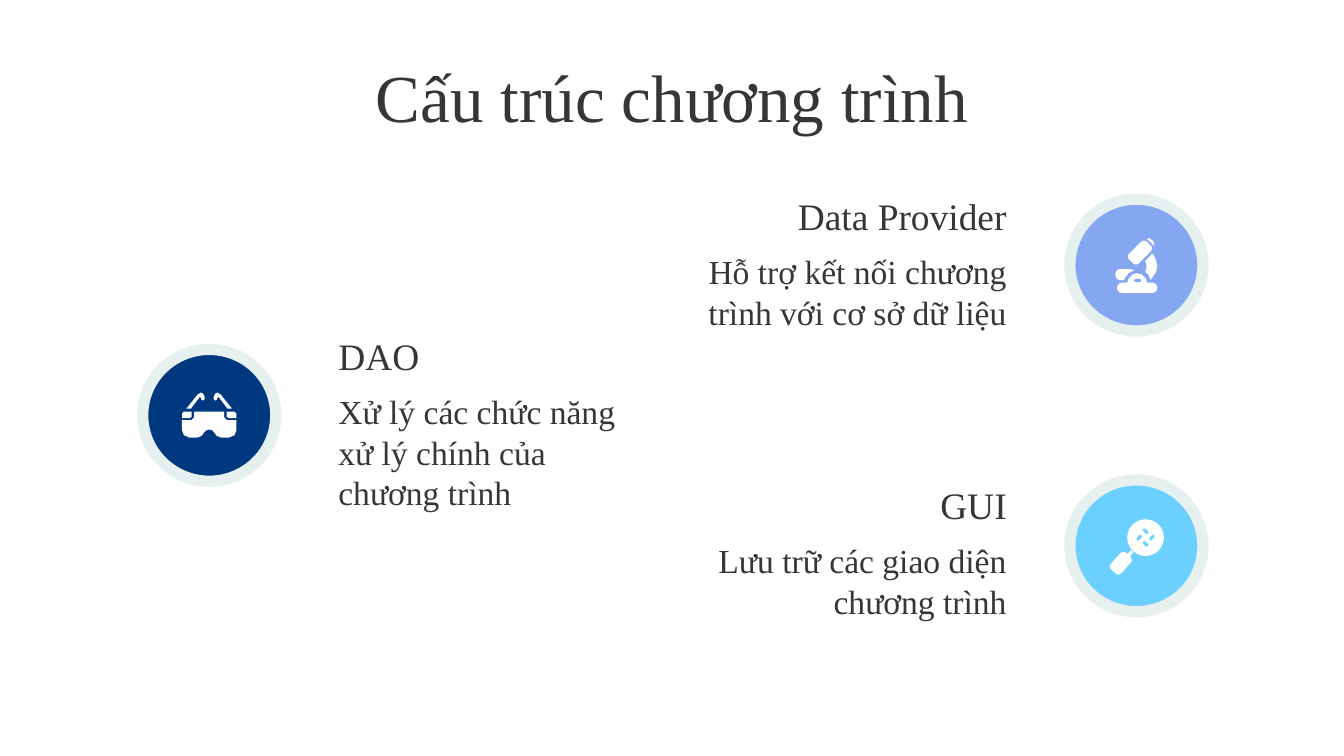
from dataclasses import dataclass

from pptx import Presentation
from pptx.dml.color import RGBColor
from pptx.enum.shapes import MSO_SHAPE
from pptx.enum.text import MSO_ANCHOR, PP_ALIGN
from pptx.util import Pt


@dataclass(frozen=True)
class Theme:
    font: str = "Times New Roman"
    text: str = "383536"
    white: str = "FFFFFF"
    ring: str = "E6F0EF"
    navy: str = "003880"
    periwinkle: str = "85A7F2"
    sky: str = "6BCFFF"
    title_size: float = 36
    heading_size: float = 20
    body_size: float = 18


THEME = Theme()
BADGE_WIDTH, BADGE_HEIGHT = 71.3, 70.6
HEADING_HEIGHT, BODY_OFFSET = 46, 31

# Icon outlines, in points from the badge centre
GOGGLE_HALF = [(8, -2), (8, 1), (9.5, 2.6), (14.6, 2.6), (14.6, 8), (13.5, 10.7),
               (10.5, 12), (6.5, 12), (4, 11), (2.5, 9), (1.5, 8), (0, 7.6)]
GOGGLE_CLIP = [(9.4, -2), (13.6, -2), (14.5, -1), (14.5, 1.5), (10.5, 1.5), (9.4, 0.8)]
GOGGLE_ARM = [(4.5, -12.2), (6.3, -11), (12.2, -3.6), (9.8, -3.6), (5, -9.9), (4.4, -9.4),
              (4.3, -8.6), (3.4, -7.9), (2.4, -8.6), (2.4, -9.7), (3.2, -11.6)]
MICROSCOPE_EYEPIECE = [(5.4, -13.7), (6.8, -14.4), (8.5, -13.3), (9.5, -12), (9, -10.2),
                       (8.4, -11.3), (6.8, -13)]
MICROSCOPE_ARM = [(9, -5.8), (10.4, -3), (11.2, 0.7), (10.4, 4), (7.6, 7.9), (6.6, 5.4),
                  (4.7, 3.6), (5.4, 2), (5.4, 0.2), (4.7, -2.2), (8.2, -5.8)]
MICROSCOPE_STAGE = [(-1, 2.7), (-3.4, 2.2), (-9, 2.2), (-10.5, 2.9), (-11.2, 4.5),
                    (-11.2, 5.8), (-10.5, 7.4), (-9, 8.1), (-6.8, 8.1), (-5.8, 6.5), (-4, 4.2)]
MICROSCOPE_DOME = [(-5.2, 10), (-4, 7), (-2, 5), (0.4, 4.4), (2.8, 5), (4.9, 7), (6, 10)]


def paint(shape, color):
    shape.shadow.inherit = False
    shape.fill.solid()
    shape.fill.fore_color.rgb = RGBColor.from_string(color)
    shape.line.fill.background()


def write_text(shape, text, *, size, align=PP_ALIGN.LEFT, space_after=0):
    frame = shape.text_frame
    frame.word_wrap = True
    frame.vertical_anchor = MSO_ANCHOR.TOP
    frame.margin_left = frame.margin_right = Pt(7.2)
    frame.margin_top = frame.margin_bottom = Pt(7.2)
    paragraph = frame.paragraphs[0]
    paragraph.text = text
    paragraph.alignment = align
    paragraph.space_before = Pt(0)
    paragraph.space_after = Pt(space_after)
    paragraph.font.name = THEME.font
    paragraph.font.size = Pt(size)
    paragraph.font.color.rgb = RGBColor.from_string(THEME.text)


def add_centered(slide, kind, center, width, height, color, rotation=0):
    x, y = center
    shape = slide.shapes.add_shape(
        kind, Pt(x - width / 2), Pt(y - height / 2), Pt(width), Pt(height))
    shape.rotation = rotation
    paint(shape, color)
    return shape


def add_capsule(slide, center, offset, width, height, color, rotation=0, rounding=0.5):
    position = (center[0] + offset[0], center[1] + offset[1])
    shape = add_centered(slide, MSO_SHAPE.ROUNDED_RECTANGLE, position,
                         width, height, color, rotation)
    shape.adjustments[0] = rounding


def add_outline(slide, center, points):
    placed = [(Pt(center[0] + x), Pt(center[1] + y)) for x, y in points]
    builder = slide.shapes.build_freeform(*placed[0])
    builder.add_line_segments(placed[1:], close=True)
    paint(builder.convert_to_shape(), THEME.white)


def mirror(points):
    return [(-x, y) for x, y in points]


def draw_goggles(slide, center, disc_color):
    add_outline(slide, center, GOGGLE_HALF + mirror(GOGGLE_HALF[-2::-1]))
    for part in (GOGGLE_CLIP, GOGGLE_ARM):
        add_outline(slide, center, part)
        add_outline(slide, center, mirror(part))


def draw_microscope(slide, center, disc_color):
    for part in (MICROSCOPE_EYEPIECE, MICROSCOPE_ARM, MICROSCOPE_STAGE, MICROSCOPE_DOME):
        add_outline(slide, center, part)
    add_capsule(slide, center, (1.9, -6.7), 13.5, 7.3, THEME.white, -45, 0.3)
    add_capsule(slide, center, (0.4, 12.2), 21.6, 5.6, THEME.white)
    add_capsule(slide, center, (0.6, 8.3), 3.6, 1.8, disc_color)


def draw_magnifier(slide, center, disc_color):
    lens = (center[0] + 4.9, center[1] - 4.4)
    add_centered(slide, MSO_SHAPE.OVAL, lens, 19.7, 19.7, THEME.white)
    for offset, rotation in (((0, -3.4), 45), ((-3.4, 0), -50),
                             ((3.4, 0), -50), ((0, 3.4), 45)):
        add_capsule(slide, lens, offset, 3.4, 1.7, disc_color, rotation)
    add_capsule(slide, center, (-8.3, 9.3), 12, 7.5, THEME.white, -48, 0.3)
    add_capsule(slide, center, (-3.6, 4.4), 4, 1.8, THEME.white, -48, 0)


def add_badge(slide, center, color, draw_icon):
    disc = add_centered(slide, MSO_SHAPE.OVAL, center, BADGE_WIDTH, BADGE_HEIGHT, color)
    disc.line.color.rgb = RGBColor.from_string(THEME.ring)
    disc.line.width = Pt(6)
    draw_icon(slide, center, color)


def add_text_box(slide, left, top, width, height, text, **text_format):
    box = slide.shapes.add_textbox(Pt(left), Pt(top), Pt(width), Pt(height))
    write_text(box, text, **text_format)


def add_module(slide, heading, body, *, edge, top, heading_width, body_width,
               body_height, align):
    """Place a heading over its description, both flush with one edge."""
    shift = 1 if align == PP_ALIGN.RIGHT else 0
    add_text_box(slide, edge - shift * heading_width, top, heading_width, HEADING_HEIGHT,
                 heading, size=THEME.heading_size, align=align)
    add_text_box(slide, edge - shift * body_width, top + BODY_OFFSET, body_width, body_height,
                 body, size=THEME.body_size, align=align, space_after=16)


def main():
    presentation = Presentation()
    presentation.slide_width, presentation.slide_height = Pt(720), Pt(405)
    slide = presentation.slides.add_slide(presentation.slide_layouts[5])

    # Title
    title = slide.shapes.title
    title.left, title.top, title.width, title.height = Pt(190.8), Pt(22.3), Pt(338.4), Pt(49.7)
    write_text(title, "Cấu trúc chương trình", size=THEME.title_size, align=PP_ALIGN.CENTER)

    # Module descriptions
    add_module(slide, "DAO", "Xử lý các chức năng xử lý chính của chương trình",
               edge=174.2, top=171.4, heading_width=103.7, body_width=169.9,
               body_height=70.6, align=PP_ALIGN.LEFT)
    add_module(slide, "Data Provider", "Hỗ trợ kết nối chương trình với cơ sở dữ liệu",
               edge=546.4, top=96.5, heading_width=169.9, body_width=179.3,
               body_height=60.5, align=PP_ALIGN.RIGHT)
    add_module(slide, "GUI", "Lưu trữ các giao diện chương trình",
               edge=546.4, top=251.3, heading_width=106.6, body_width=169.9,
               body_height=57.6, align=PP_ALIGN.RIGHT)

    # Icon badges
    add_badge(slide, (112.1, 222.5), THEME.navy, draw_goggles)
    add_badge(slide, (608.8, 142), THEME.periwinkle, draw_microscope)
    add_badge(slide, (608.8, 292.4), THEME.sky, draw_magnifier)

    presentation.save("out.pptx")


if __name__ == "__main__":
    main()
